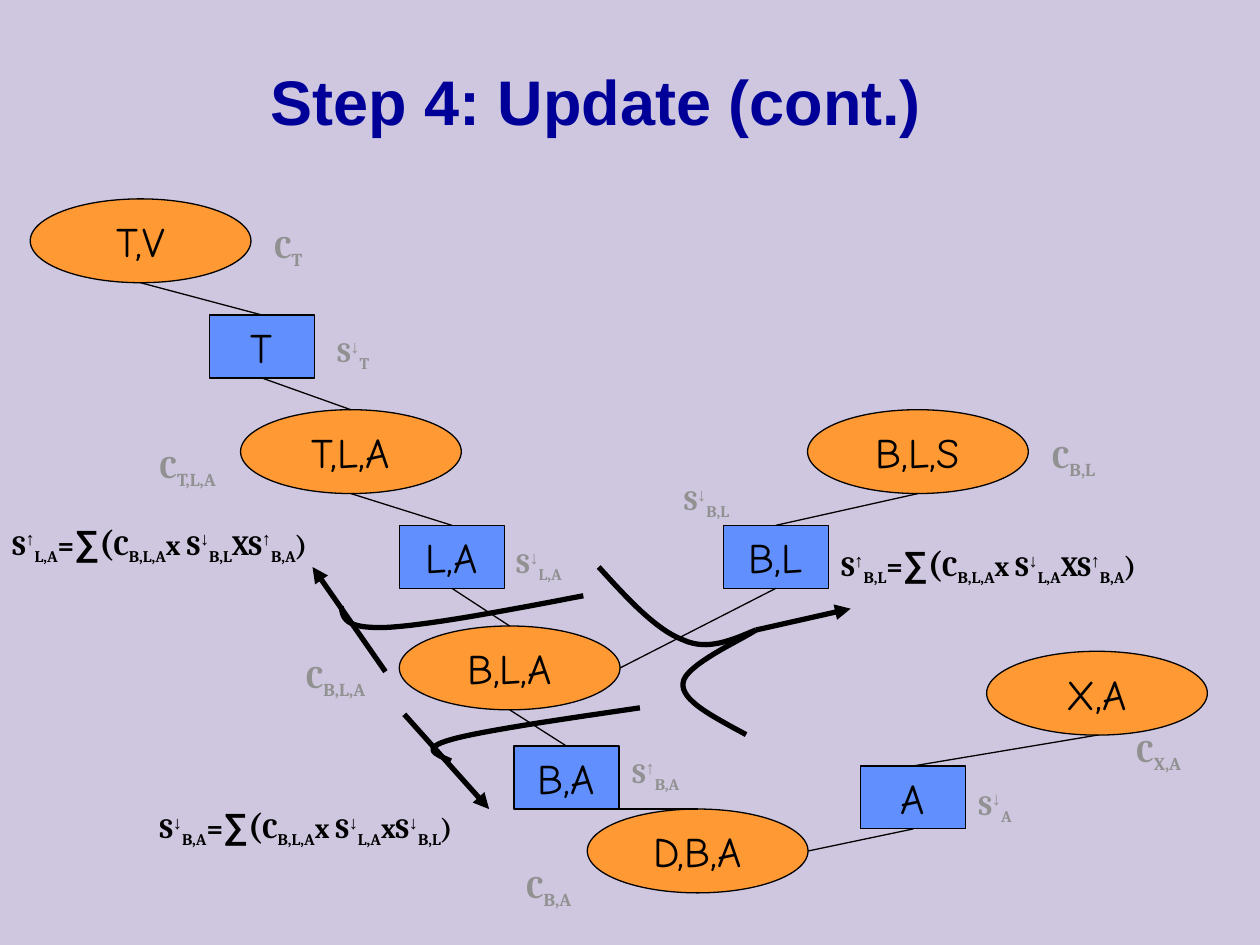
from lxml.etree import SubElement
from pptx import Presentation
from pptx.dml.color import RGBColor
from pptx.enum.shapes import MSO_CONNECTOR, MSO_SHAPE
from pptx.enum.text import MSO_ANCHOR, MSO_AUTO_SIZE, PP_ALIGN
from pptx.oxml.ns import qn
from pptx.util import Cm, Pt

COLORS = {
    "background": "CEC7DF",
    "title": "000099",
    "clique": "FF9933",
    "separator": "618FFD",
    "label": "919191",
    "black": "000000",
}
RGB = {name: RGBColor.from_string(value) for name, value in COLORS.items()}

# Run styles: size, font, baseline in thousandths of a percent
STYLES = {
    "base": (16, "Cambria", 0),
    "arrow": (18, "Arial", 30000),
    "sub": (16, "Cambria", -25000),
    "sum": (20, "Arial", 0),
    "paren": (20, "Cambria", 0),
    "clique": (18, "Cambria", 0),
    "clique sub": (18, "Cambria", -25000),
}


def separator_runs(lead, arrow, scope):
    """Runs of a separator potential, such as S with an arrow and its variables."""
    return [(lead, "base"), (arrow, "arrow"), (scope, "sub")]


def add_label(left, top, width, height, runs, color):
    box = slide.shapes.add_textbox(Cm(left), Cm(top), Cm(width), Cm(height))
    box.text_frame.word_wrap = True
    box.text_frame.auto_size = MSO_AUTO_SIZE.SHAPE_TO_FIT_TEXT
    for text, style in runs:
        run = box.text_frame.paragraphs[0].add_run()
        run.text = text
        size, run.font.name, baseline = STYLES[style]
        run.font.size = Pt(size)
        run.font.bold = True
        run.font.color.rgb = RGB[color]
        if baseline:
            run._r.get_or_add_rPr().set("baseline", str(baseline))


presentation = Presentation()
presentation.slide_width, presentation.slide_height = Cm(25.4), Cm(19.05)
slide = presentation.slides.add_slide(presentation.slide_layouts[5])
slide.background.fill.solid()
slide.background.fill.fore_color.rgb = RGB["background"]

title = slide.shapes.title
title.left, title.top, title.width, title.height = Cm(0.33), Cm(0.43), Cm(23.37), Cm(3.18)
title.text_frame.vertical_anchor = MSO_ANCHOR.MIDDLE
paragraph = title.text_frame.paragraphs[0]
paragraph.alignment = PP_ALIGN.CENTER
run = paragraph.add_run()
run.text = "Step 4: Update (cont.)"
run.font.size, run.font.name, run.font.bold = Pt(36), "Arial", True
run.font.color.rgb = RGB["title"]

# Nodes of the junction tree
node_kinds = [
    ("clique", MSO_SHAPE.OVAL, 4.45, 1.69, [
        ("D,B,A", 11.84, 16.31), ("B,L,S", 16.28, 8.26), ("X,A", 19.89, 13.13),
        ("T,V", 0.61, 4.01), ("B,L,A", 8.05, 12.62), ("T,L,A", 4.85, 8.26),
    ]),
    ("separator", MSO_SHAPE.RECTANGLE, 2.12, 1.27, [
        ("B,A", 10.36, 15.04), ("B,L", 14.58, 10.59), ("L,A", 8.05, 10.59),
        ("A", 17.35, 15.44), ("T", 4.22, 6.35),
    ]),
]
nodes = {}
for kind, preset, width, height, places in node_kinds:
    for name, left, top in places:
        shape = slide.shapes.add_shape(preset, Cm(left), Cm(top), Cm(width), Cm(height))
        shape.shadow.inherit = False
        shape.fill.solid()
        shape.fill.fore_color.rgb = RGB[kind]
        shape.line.color.rgb = RGB["black"]
        shape.line.width = Pt(0.75)
        shape.text_frame.word_wrap = False
        shape.text_frame.vertical_anchor = MSO_ANCHOR.MIDDLE
        paragraph = shape.text_frame.paragraphs[0]
        paragraph.alignment = PP_ALIGN.CENTER
        run = paragraph.add_run()
        run.text = name
        run.font.size, run.font.name = Pt(24), "Comic Neue"
        run.font.color.rgb = RGB["black"]
        nodes[name] = shape

# Tree edges: clique, its side, separator, its connection site
SIDES = {"top": (0.5, 0), "bottom": (0.5, 1), "right": (1, 0.5)}
TOP, BOTTOM = 0, 2
edges = [
    ("T,V", "bottom", "T", TOP), ("T,L,A", "top", "T", BOTTOM),
    ("T,L,A", "bottom", "L,A", TOP), ("B,L,A", "top", "L,A", BOTTOM),
    ("B,L,S", "bottom", "B,L", TOP), ("B,L,A", "right", "B,L", BOTTOM),
    ("B,L,A", "bottom", "B,A", TOP), ("D,B,A", "top", "B,A", BOTTOM),
    ("X,A", "bottom", "A", TOP), ("D,B,A", "right", "A", BOTTOM),
]
connectors = []
for clique, side, separator, site in edges:
    oval = nodes[clique]
    across, down = SIDES[side]
    x, y = int(oval.left + across * oval.width), int(oval.top + down * oval.height)
    edge = slide.shapes.add_connector(MSO_CONNECTOR.STRAIGHT, x, y, x, y)
    edge.end_connect(nodes[separator], site)
    edge.line.width = Pt(0.75)
    connectors.append(edge)

# Arrows towards the updated separators
for points in [(8.15, 14.4, 9.86, 16.31), (7.77, 13.54, 6.3, 11.43), (15.24, 12.7, 17.15, 12.27)]:
    arrow = slide.shapes.add_connector(MSO_CONNECTOR.STRAIGHT, *map(Cm, points))
    arrow.line.width = Pt(3)
    SubElement(arrow.line._get_or_add_ln(), qn("a:tailEnd"), type="triangle")
    connectors.append(arrow)

for connector in connectors:
    connector.line.color.rgb = RGB["black"]
    SubElement(connector._element.spPr, qn("a:effectLst"))

# Clique and separator labels
for scope, left, top, width in [
    ("T", 5.28, 4.45, 6.78), ("T,L,A", 2.97, 8.89, 3.61), ("B,L,A", 5.92, 13.13, 3.38),
    ("B,L", 20.96, 8.69, 2.54), ("B,A", 10.36, 17.35, 2.11), ("X,A", 22.66, 14.61, 1.9),
]:
    add_label(left, top, width, 1.12, [("C", "clique"), (scope, "clique sub")], "label")

for direction, scope, left, top, width in [
    ("↓", "B,L", 13.54, 9.53, 2.54), ("↓", "T", 6.55, 6.55, 4.24),
    ("↑", "B,A", 12.5, 15.04, 2.11), ("↓", "L,A", 10.16, 10.8, 2.11),
    ("↓", "A", 19.48, 15.67, 1.7),
]:
    add_label(left, top, width, 1.09, separator_runs("S", direction, scope), "label")

# Update formulas: result, first factor, second factor, then the place
for result, first, second, left, top, width in [
    (("↓", "B,A"), ("↓", "L,A"), ("xS", "↓", "B,L"), 2.97, 16.08, 8.46),
    (("↑", "L,A"), ("↓", "B,L"), ("XS", "↑", "B,A"), 0, 10.36, 8.33),
    (("↑", "B,L"), ("↓", "L,A"), ("XS", "↑", "B,A"), 16.71, 10.8, 8.69),
]:
    runs = separator_runs("S", *result)
    runs += [("=", "base"), ("∑", "sum"), ("(", "paren"), ("C", "base"), ("B,L,A", "sub")]
    runs += separator_runs("x S", *first) + separator_runs(*second) + [(")", "base")]
    add_label(left, top, width, 1.17, runs, "black")

# Message curves: each is two cubic Bézier pieces that share the fourth point
curves = [
    [(12.07, 11.43), (12.65, 12.07), (13.23, 12.7), (13.77, 12.9),
     (14.27, 13.13), (14.76, 12.9), (15.24, 12.7)],
    [(15.04, 14.81), (14.38, 14.45), (13.72, 14.12), (13.77, 13.77),
     (13.79, 13.41), (14.99, 12.88), (15.24, 12.7)],
    [(11.76, 12.01), (10.16, 12.32), (8.53, 12.62), (7.75, 12.65),
     (6.93, 12.67), (6.91, 12.45), (6.88, 12.22)],
    [(12.9, 14.27), (11.33, 14.5), (9.73, 14.73), (9.09, 14.91),
     (8.46, 15.09), (8.79, 15.21), (9.09, 15.34)],
]
STEPS = 16
for curve in curves:
    vertices = []
    for piece in (curve[:4], curve[3:]):
        for step in range(1, STEPS + 1):
            t = step / STEPS
            weights = ((1 - t) ** 3, 3 * t * (1 - t) ** 2, 3 * t ** 2 * (1 - t), t ** 3)
            vertices.append(tuple(
                Cm(sum(weight * point[axis] for weight, point in zip(weights, piece)))
                for axis in (0, 1)
            ))
    builder = slide.shapes.build_freeform(Cm(curve[0][0]), Cm(curve[0][1]))
    builder.add_line_segments(vertices, close=False)
    shape = builder.convert_to_shape()
    shape.shadow.inherit = False
    shape.fill.background()
    shape.line.color.rgb = RGB["black"]
    shape.line.width = Pt(3)

presentation.save("out.pptx")
